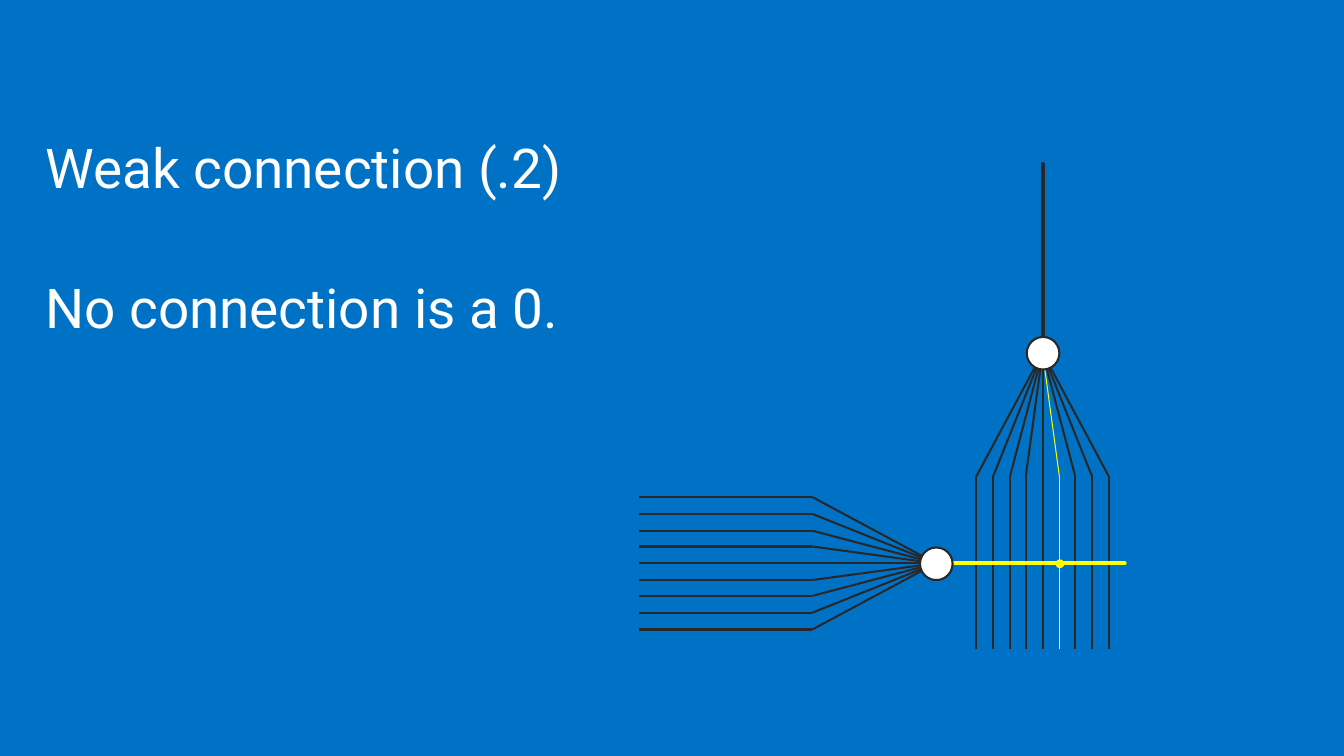
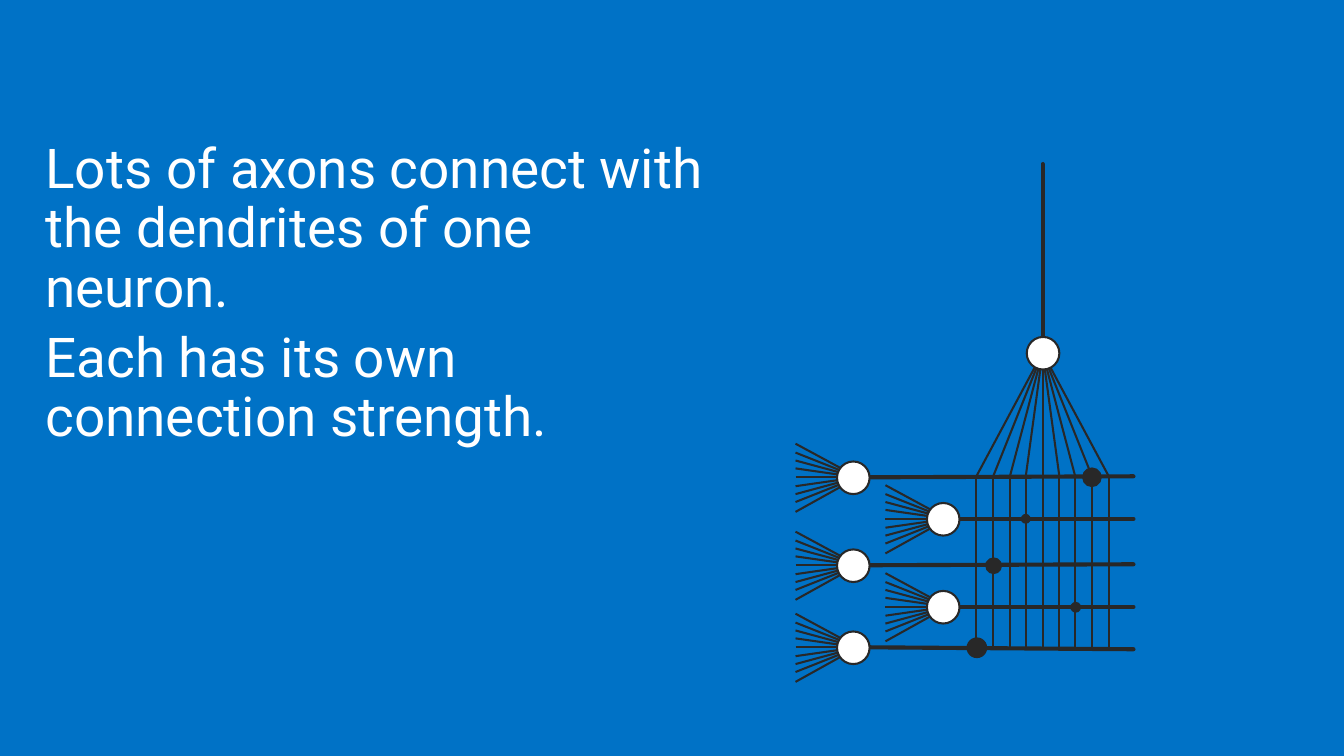
import pptx
import pptx.dml.color
import pptx.enum.shapes
import pptx.enum.text
import pptx.oxml.ns
import pptx.util
from lxml import etree

# Shared look
PX = 9144  # 100 px to the inch
BLUE = pptx.dml.color.RGBColor(0x00, 0x72, 0xC6)
WHITE = pptx.dml.color.RGBColor(0xFF, 0xFF, 0xFF)
DARK = pptx.dml.color.RGBColor(0x28, 0x28, 0x28)
YELLOW = pptx.dml.color.RGBColor(0xFF, 0xFF, 0x00)
FONT = "Roboto"
THICK, NORMAL, THIN = 3, 1.5, 0.75

# Neuron geometry
BODY = 33
AXON_START, AXON_END = 16, 191
LONG_OFFSETS = [round(step * 50 / 3) for step in range(-4, 5)]
SHORT_OFFSETS = [-34, -25, -17, -9, 0, 9, 17, 25, 35]
RECEIVER = (1055, 357)
SENDER = (947, 570)
UP, RIGHT = (0, -1), (1, 0)
AXON_RIGHT = 1147

# Content: text, box width and height, gap between paragraphs in points
WEAK_TEXT = (["Weak connection (.2)", "No connection is a 0."], 1300, 229, 59)
MANY_TEXT = (["Lots of axons connect with the dendrites of one neuron.",
              "Each has its own connection strength."], 700, 276, 8)
WEAK_DENDRITE, WEAK_SIZE = 5, 9

# Body x, body y, axon end y, dendrite joined, size of the joint
SENDERS = [
    (863, 655, 657, 0, 21),
    (954, 614, 614, 6, 11),
    (863, 572, 571, 1, 17),
    (954, 525, 525, 3, 10),
    (863, 483, 482, 7, 20),
]


def add_text(slide, texts, width, height, gap):
    box = slide.shapes.add_textbox(30 * PX, 133 * PX, width * PX, height * PX)
    frame = box.text_frame
    frame.word_wrap = True
    frame.auto_size = pptx.enum.text.MSO_AUTO_SIZE.SHAPE_TO_FIT_TEXT
    frame.margin_left = frame.margin_right = 16 * PX
    frame.margin_top = frame.margin_bottom = 10 * PX
    for index, text in enumerate(texts):
        paragraph = frame.add_paragraph() if index else frame.paragraphs[0]
        paragraph.text = text
        paragraph.line_spacing = 0.9
        paragraph.space_before = pptx.util.Pt(gap if index else 0)
        paragraph.font.size = pptx.util.Pt(40)
        paragraph.font.name = FONT
        paragraph.font.color.rgb = WHITE


def add_line(shapes, start, end, color=DARK, width=NORMAL):
    line = shapes.add_connector(pptx.enum.shapes.MSO_CONNECTOR.STRAIGHT,
                                *(value * PX for value in (*start, *end)))
    line.line.color.rgb = color
    line.line.width = pptx.util.Pt(width)
    if width == THICK:
        line.get_or_add_ln().set("cap", "rnd")
    etree.SubElement(line._element.spPr, pptx.oxml.ns.qn("a:effectLst"))


def add_circle(shapes, center, size, fill, outline=None):
    x, y = (value - size // 2 for value in center)
    circle = shapes.add_shape(pptx.enum.shapes.MSO_SHAPE.OVAL,
                              x * PX, y * PX, size * PX, size * PX)
    circle.shadow.inherit = False
    circle.fill.solid()
    circle.fill.fore_color.rgb = fill
    if outline is None:
        circle.line.fill.background()
    else:
        circle.line.color.rgb = outline
        circle.line.width = pptx.util.Pt(NORMAL)


def add_neuron(slide, center, forward, offsets=LONG_OFFSETS, fan=125, straight=175,
               tip=0, axon_end=None, axon_color=DARK, weak=None):
    """Draw axon, dendrites and body, with the axon pointing forward."""
    shapes = slide.shapes.add_group_shape().shapes

    def point(along, aside=0):
        ahead_x, ahead_y = forward
        return (center[0] + along * ahead_x + aside * abs(ahead_y),
                center[1] + along * ahead_y + aside * abs(ahead_x))

    add_line(shapes, point(AXON_START), axon_end or point(AXON_END), axon_color, THICK)
    for index, offset in enumerate(offsets):
        style = (YELLOW, THIN) if index == weak else (DARK, NORMAL)
        bend = point(-fan, offset)
        add_line(shapes, bend, point(tip), *style)
        if straight:
            add_line(shapes, bend, point(-fan - straight, offset), *style)
    add_circle(shapes, center, BODY, WHITE, DARK)


def dendrite_x(index):
    return RECEIVER[0] + LONG_OFFSETS[index]


def build_weak_connection(slide):
    add_text(slide, *WEAK_TEXT)
    add_neuron(slide, RECEIVER, UP, weak=WEAK_DENDRITE)
    add_neuron(slide, SENDER, RIGHT, axon_color=YELLOW)
    add_circle(slide.shapes, (dendrite_x(WEAK_DENDRITE), SENDER[1]), WEAK_SIZE, YELLOW)


def build_many_axons(slide):
    add_text(slide, *MANY_TEXT)
    add_neuron(slide, RECEIVER, UP)
    for x, y, end_y, dendrite, size in SENDERS:
        add_neuron(slide, (x, y), RIGHT, SHORT_OFFSETS, fan=58, straight=0, tip=5,
                   axon_end=(AXON_RIGHT, end_y))
        add_circle(slide.shapes, (dendrite_x(dendrite), y), size, DARK)


def main():
    presentation = pptx.Presentation()
    presentation.slide_width = 1360 * PX
    presentation.slide_height = 765 * PX
    background = presentation.slide_master.background.fill
    background.solid()
    background.fore_color.rgb = BLUE
    for build in (build_weak_connection, build_many_axons):
        build(presentation.slides.add_slide(presentation.slide_layouts[6]))
    presentation.save("out.pptx")


if __name__ == "__main__":
    main()
